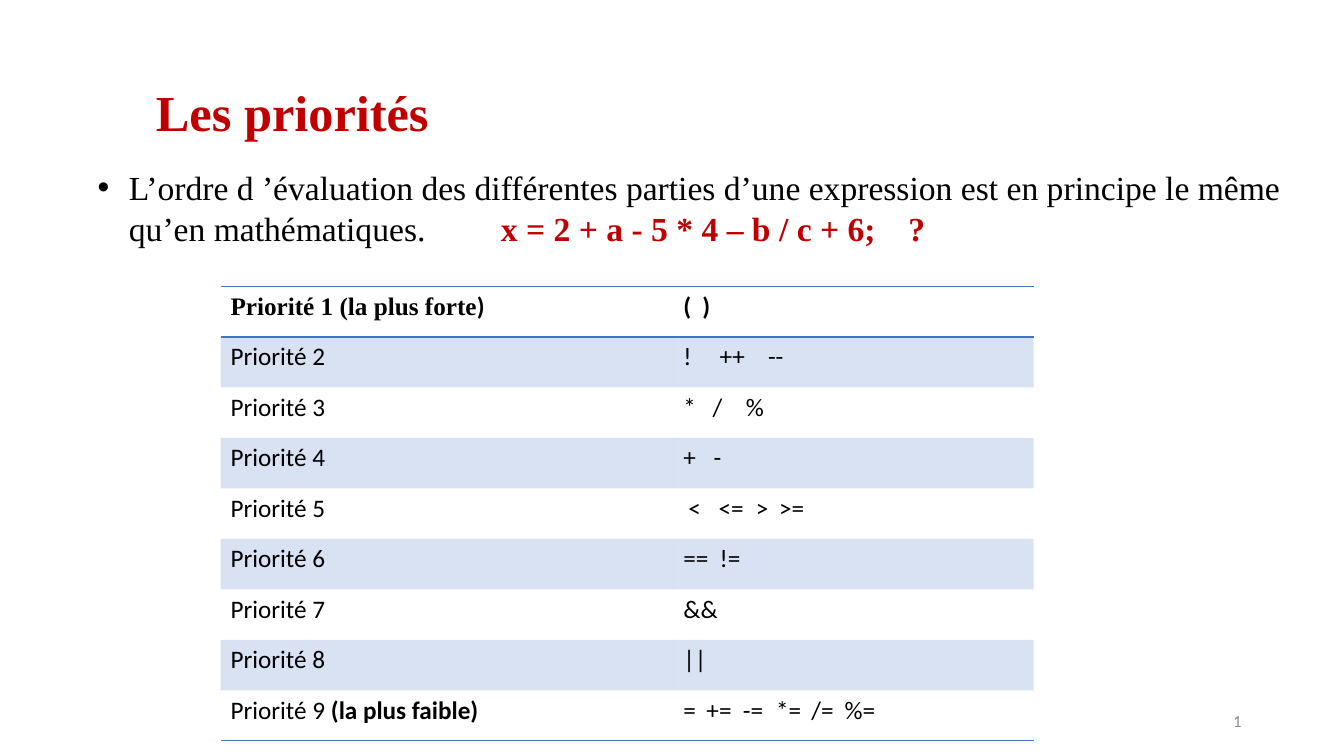
from lxml import etree
from pptx import Presentation
from pptx import util as u
from pptx.dml.color import RGBColor
from pptx.enum import text
from pptx.oxml import ns

COLORS = {"ink": "000000", "accent": "C00000", "line": "4472C4", "muted": "8C8C8C"}
SANS, SERIF = "Calibri", "Times New Roman"
COLUMNS, ROWS = 160, 90

PRIORITIES = [
    ("Priorité 2", "!\t++\t--", (0.36, 0.84)),
    ("Priorité 3", "*\t/\t%", (0.29, 0.62)),
    ("Priorité 4", "+\t-", (0.3,)),
    ("Priorité 5", "\t<\t<=\t>\t>=", (0.05, 0.35, 0.72, 0.95)),
    ("Priorité 6", "==\t!=", (0.36,)),
    ("Priorité 7", "&&", ()),
    ("Priorité 8", "||", ()),
]


class SlideBuilder:
    def __init__(self, presentation):
        self.width, self.height = presentation.slide_width, presentation.slide_height
        self.slide = presentation.slides.add_slide(presentation.slide_layouts[5])

    def box(self, left, top, width, height):
        return (int(left * self.width / COLUMNS), int(top * self.height / ROWS),
                int(width * self.width / COLUMNS), int(height * self.height / ROWS))

    def child(self, parent, tag, **attributes):
        return etree.SubElement(parent, ns.qn(tag), attributes)

    def fill_paragraph(self, paragraph, runs, stops=(), bullet=None, **formats):
        properties = paragraph._p.get_or_add_pPr()
        if bullet:
            properties.set("marL", str(u.Inches(0.31)))
            properties.set("indent", str(u.Inches(-0.31)))
            self.child(properties, "a:buFont", typeface="Arial")
            self.child(properties, "a:buChar", char=bullet)
        if stops:
            tabs = self.child(properties, "a:tabLst")
            for stop in stops:
                self.child(tabs, "a:tab", pos=str(u.Inches(stop)), algn="l")
        for name, value in formats.items():
            setattr(paragraph, name, value)
        for wording, style in runs:
            style = {"color": "ink", "bold": False, **style}
            run = paragraph.add_run()
            run.text = wording
            run.font.color.rgb = RGBColor.from_string(COLORS[style.pop("color")])
            for name, value in style.items():
                setattr(run.font, name, value)

    def frame(self, shape, **formats):
        for name, value in {"word_wrap": True, **formats}.items():
            setattr(shape.text_frame, name, value)
        return shape.text_frame.paragraphs[0]

    def title(self, runs, place):
        shape = self.slide.shapes.title
        shape.left, shape.top, shape.width, shape.height = self.box(*place)
        paragraph = self.frame(shape, vertical_anchor=text.MSO_ANCHOR.MIDDLE,
                               margin_left=u.Inches(0.38), auto_size=text.MSO_AUTO_SIZE.NONE)
        self.fill_paragraph(paragraph, runs, alignment=text.PP_ALIGN.LEFT, line_spacing=0.9)

    def textbox(self, runs, place, anchor=text.MSO_ANCHOR.TOP, **formats):
        shape = self.slide.shapes.add_textbox(*self.box(*place))
        self.fill_paragraph(self.frame(shape, vertical_anchor=anchor), runs, **formats)

    def borders(self, cell, ruled):
        properties = cell._tc.get_or_add_tcPr()
        for side in ("lnL", "lnR", "lnT", "lnB"):
            line = self.child(properties, f"a:{side}", w=str(u.Pt(1)))
            if side in ruled:
                fill = self.child(line, "a:solidFill")
                self.child(fill, "a:srgbClr", val=COLORS["line"])
            else:
                self.child(line, "a:noFill")

    def shade(self, cell, tinted):
        if not tinted:
            cell.fill.background()
            return
        cell.fill.solid()
        cell.fill.fore_color.rgb = RGBColor.from_string(COLORS["line"])
        color = cell._tc.tcPr.find(ns.qn("a:solidFill")).find(ns.qn("a:srgbClr"))
        self.child(color, "a:alpha", val="20000")

    def table(self, lines, left, top, widths, row_height):
        place = self.box(left, top, sum(widths), row_height * len(lines))
        table = self.slide.shapes.add_table(len(lines), len(widths), *place).table
        table.first_row = table.horz_banding = False
        for column, width in zip(table.columns, widths):
            column.width = self.box(0, 0, width, 0)[2]
        rules = {0: ("lnT", "lnB"), 1: ("lnT",), len(lines) - 1: ("lnB",)}
        for index, line in enumerate(lines):
            table.rows[index].height = self.box(0, 0, 0, row_height)[3]
            for cell, (runs, stops) in zip(table.rows[index].cells, line):
                self.borders(cell, rules.get(index, ()))
                self.shade(cell, index % 2 == 1)
                self.fill_paragraph(cell.text_frame.paragraphs[0], runs, stops)


def main():
    presentation = Presentation()
    presentation.slide_width, presentation.slide_height = u.Inches(13.33), u.Inches(7.5)
    builder = SlideBuilder(presentation)

    plain = {"name": SANS, "size": u.Pt(18)}
    strong = {**plain, "bold": True}
    body = {"name": SERIF, "size": u.Pt(24)}
    accent = {"name": SERIF, "color": "accent", "bold": True}

    builder.title([("Les priorités", {**accent, "size": u.Pt(36)})], (14, 5, 138, 17.4))
    builder.textbox([("1", {"name": SANS, "size": u.Pt(12), "color": "muted"})],
                    (113, 83.4, 36, 4.8), text.MSO_ANCHOR.MIDDLE,
                    alignment=text.PP_ALIGN.RIGHT)

    header = [([("Priorité 1 (la plus forte", {**strong, "name": SERIF}), (")", strong)], ()),
              ([("(\t)", strong)], (0.19,))]
    middle = [[([(level, plain)], ()), ([(operators, plain)], stops)]
              for level, operators, stops in PRIORITIES]
    footer = [([("Priorité 9 ", plain), ("(la plus faible)", strong)], ()),
              ([("=\t+=\t-=\t*=\t/=\t%=", plain)], (0.23, 0.59, 0.92, 1.27, 1.6))]
    builder.table([header, *middle, footer], 26.25, 34.1, (53.9, 42.9), 6.01)

    builder.textbox([("L’ordre d ’évaluation des différentes parties d’une expression "
                      "est en principe le même qu’en mathématiques. \t", body),
                     ("x = 2 + a - 5 * 4 – b / c + 6;\t?", {**body, **accent})],
                    (10.45, 19.3, 145.2, 10.9), stops=(4, 8.04), bullet="•")
    presentation.save("out.pptx")


if __name__ == "__main__":
    main()
